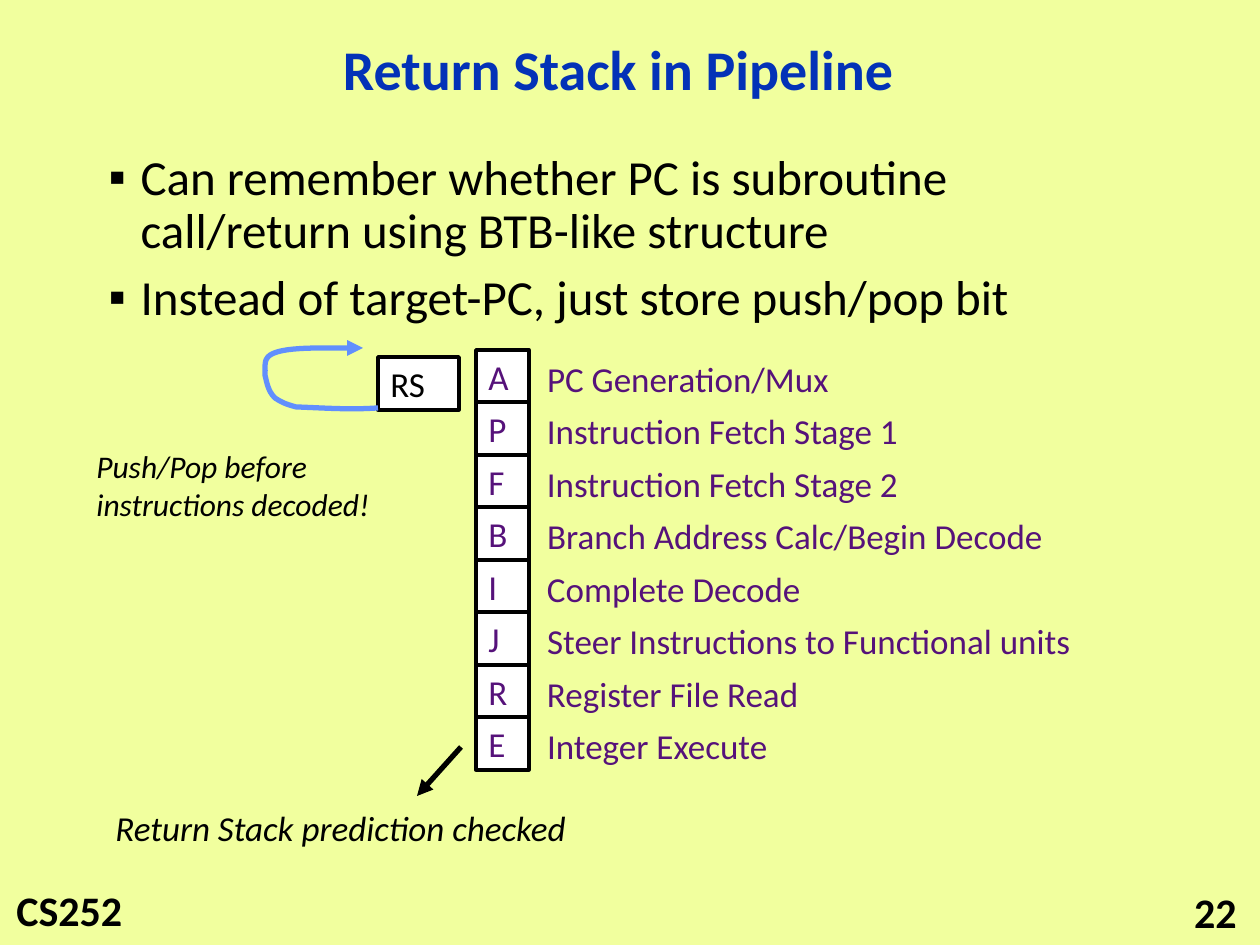
from dataclasses import dataclass

from lxml.etree import SubElement
from pptx import Presentation
from pptx.dml.color import RGBColor
from pptx.enum.shapes import MSO_CONNECTOR as Connector, MSO_SHAPE as Preset
from pptx.enum.text import MSO_ANCHOR as Anchor, MSO_AUTO_SIZE as AutoSize, PP_ALIGN as Align
from pptx.oxml.ns import qn
from pptx.util import Emu, Pt

EMU_PER_PX = 914400 / 126


@dataclass(frozen=True)
class Theme:
    font: str = "Calibri"
    background: str = "F1FF9E"
    title: str = "0332B7"
    ink: str = "000000"
    stage: str = "56127A"
    box: str = "FFFFFF"
    loop: str = "618FFD"
    title_size: int = 32
    body_size: int = 28
    footer_size: int = 24
    label_size: int = 20
    note_size: int = 18
    box_line: int = 2
    arrow_line: int = 3


THEME = Theme()

BULLETS = [
    "Can remember whether PC is subroutine call/return using BTB-like structure",
    "Instead of target-PC, just store push/pop bit",
]

# letter, description, width of the description box
STAGES = [
    ("A", "PC Generation/Mux", 319),
    ("P", "Instruction Fetch Stage 1", 389),
    ("F", "Instruction Fetch Stage 2", 389),
    ("B", "Branch Address Calc/Begin Decode", 534),
    ("I", "Complete Decode", 290),
    ("J", "Steer Instructions to Functional units", 562),
    ("R", "Register File Read", 289),
    ("E", "Integer Execute", 258),
]

# start point, then three control points for each curve, relative to the region
LOOP = [
    (281, 65),
    (253, 67), (227, 65), (199, 64),
    (188, 61), (184, 59), (178, 55),
    (171, 48), (170, 40), (168, 32),
    (169, 26), (166, 20), (171, 14),
    (180, 4), (217, 5), (248, 5),
    (253, 5), (266, 5), (266, 5),
]


def px(value):
    return Emu(round(value * EMU_PER_PX))


def apply_formats(target, formats):
    for name, value in formats.items():
        setattr(target, name, value)


def place(shape, box):
    apply_formats(shape, dict(zip(("left", "top", "width", "height"), map(px, box))))


def write(shape, lines, size, color=THEME.ink, font=None, paragraph=None, frame=None):
    """Fill a shape with paragraphs that share one set of formats."""
    text_frame = shape.text_frame
    apply_formats(text_frame, frame or {})
    text_frame.text = "\n".join(lines)
    for item in text_frame.paragraphs:
        apply_formats(item, {"alignment": Align.LEFT, **(paragraph or {})})
        for run in item.runs:
            apply_formats(run.font, {"name": THEME.font, "size": Pt(size), **(font or {})})
            run.font.color.rgb = RGBColor.from_string(color)


def add_text(slide, box, text, size, color=THEME.ink, font=None, paragraph=None, **frame):
    shape = slide.shapes.add_textbox(*map(px, box))
    frame = {"word_wrap": False, "auto_size": AutoSize.SHAPE_TO_FIT_TEXT, **frame}
    write(shape, [text], size, color, font, paragraph, frame)


def add_box(slide, box, text, color):
    shape = slide.shapes.add_shape(Preset.RECTANGLE, *map(px, box))
    shape.shadow.inherit = False
    shape.fill.solid()
    shape.fill.fore_color.rgb = RGBColor.from_string(THEME.box)
    set_line(shape, THEME.ink, THEME.box_line)
    write(shape, [text], THEME.label_size, color,
          frame={"word_wrap": False, "vertical_anchor": Anchor.MIDDLE})


def set_line(shape, color, width, arrow=False):
    shape.line.color.rgb = RGBColor.from_string(color)
    shape.line.width = Pt(width)
    if arrow:
        SubElement(shape.line._get_or_add_ln(), qn("a:tailEnd"), type="triangle")


def add_title(slide, box):
    title = slide.shapes.title
    place(title, box)
    write(title, ["Return Stack in Pipeline"], THEME.title_size, THEME.title, {"bold": True},
          {"alignment": Align.CENTER, "line_spacing": 0.9},
          {"vertical_anchor": Anchor.MIDDLE, "auto_size": AutoSize.NONE})


def add_bullets(slide, box):
    body = slide.placeholders[1]
    place(body, box)
    write(body, BULLETS, THEME.body_size,
          paragraph={"line_spacing": 0.9, "space_before": Pt(8)},
          frame={"vertical_anchor": Anchor.TOP, "auto_size": AutoSize.NONE})
    indent = px(32)
    for paragraph in body.text_frame.paragraphs:
        properties = paragraph._p.get_or_add_pPr()
        properties.set("marL", str(indent))
        properties.set("indent", str(-indent))
        SubElement(properties, qn("a:buFont"), typeface="Arial")
        SubElement(properties, qn("a:buChar"), char="▪")


def add_pipeline(slide, box):
    left, top, side, height = box
    for index, (letter, description, width) in enumerate(STAGES):
        row = top + index * height // len(STAGES)
        add_box(slide, (left, row, side, side), letter, THEME.stage)
        add_text(slide, (left + 51, row + 1, width, 55), description,
                 THEME.label_size, THEME.stage, margin_left=px(20))


def add_curve(slide, points):
    """Draw joined Bézier curves: a start point, then three points for each."""
    builder = slide.shapes.build_freeform(*map(px, points[0]), scale=1.0)
    builder.add_line_segments([tuple(map(px, point)) for point in points[1:]], close=False)
    shape = builder.convert_to_shape()
    shape.shadow.inherit = False
    shape.fill.background()
    outline = next(shape._element.iter(qn("a:path")))
    segments = outline.findall(qn("a:lnTo"))
    for start in range(0, len(segments), 3):
        curve = SubElement(outline, qn("a:cubicBezTo"))
        for segment in segments[start:start + 3]:
            curve.append(segment[0])
            outline.remove(segment)
    return shape


def add_return_stack(slide, box):
    left, top, width, height = box
    add_box(slide, (left + 281, top + 14, 81, 53), "RS", THEME.ink)
    loop = add_curve(slide, [(left + x, top + y) for x, y in LOOP])
    set_line(loop, THEME.loop, THEME.arrow_line, arrow=True)
    add_text(slide, (left - 13, top + height - 89, width - 37, 89),
             "Push/Pop before instructions decoded!", THEME.note_size,
             font={"italic": True}, word_wrap=True)


def add_check_note(slide, box):
    left, top, width, height = box
    add_text(slide, (left, top + height - 55, width, 55),
             "Return Stack prediction checked", THEME.label_size, font={"italic": True})
    ends = (left + 358, top, left + 314, top + 49)
    arrow = slide.shapes.add_connector(Connector.STRAIGHT, *map(px, ends))
    set_line(arrow, THEME.ink, THEME.arrow_line, arrow=True)
    SubElement(arrow._element.spPr, qn("a:effectLst"))


def add_footer(slide, box):
    left, top, width, height = box
    add_text(slide, (left, top, 132, height), "CS252", THEME.footer_size, font={"bold": True})
    add_text(slide, (left + width - 262, top + 14, 262, 40), "22", THEME.footer_size,
             font={"bold": True}, paragraph={"alignment": Align.RIGHT},
             word_wrap=True, auto_size=AutoSize.NONE, vertical_anchor=Anchor.MIDDLE)


def main():
    presentation = Presentation()
    presentation.slide_width, presentation.slide_height = px(1260), px(945)
    slide = presentation.slides.add_slide(presentation.slide_layouts[1])
    slide.background.fill.solid()
    slide.background.fill.fore_color.rgb = RGBColor.from_string(THEME.background)
    add_title(slide, (116, 21, 1005, 102))
    add_bullets(slide, (96, 147, 1058, 697))
    add_pipeline(slide, (476, 350, 53, 420))
    add_return_stack(slide, (97, 343, 362, 187))
    add_check_note(slide, (103, 747, 490, 108))
    add_footer(slide, (4, 878, 1245, 63))
    presentation.save("out.pptx")


if __name__ == "__main__":
    main()
